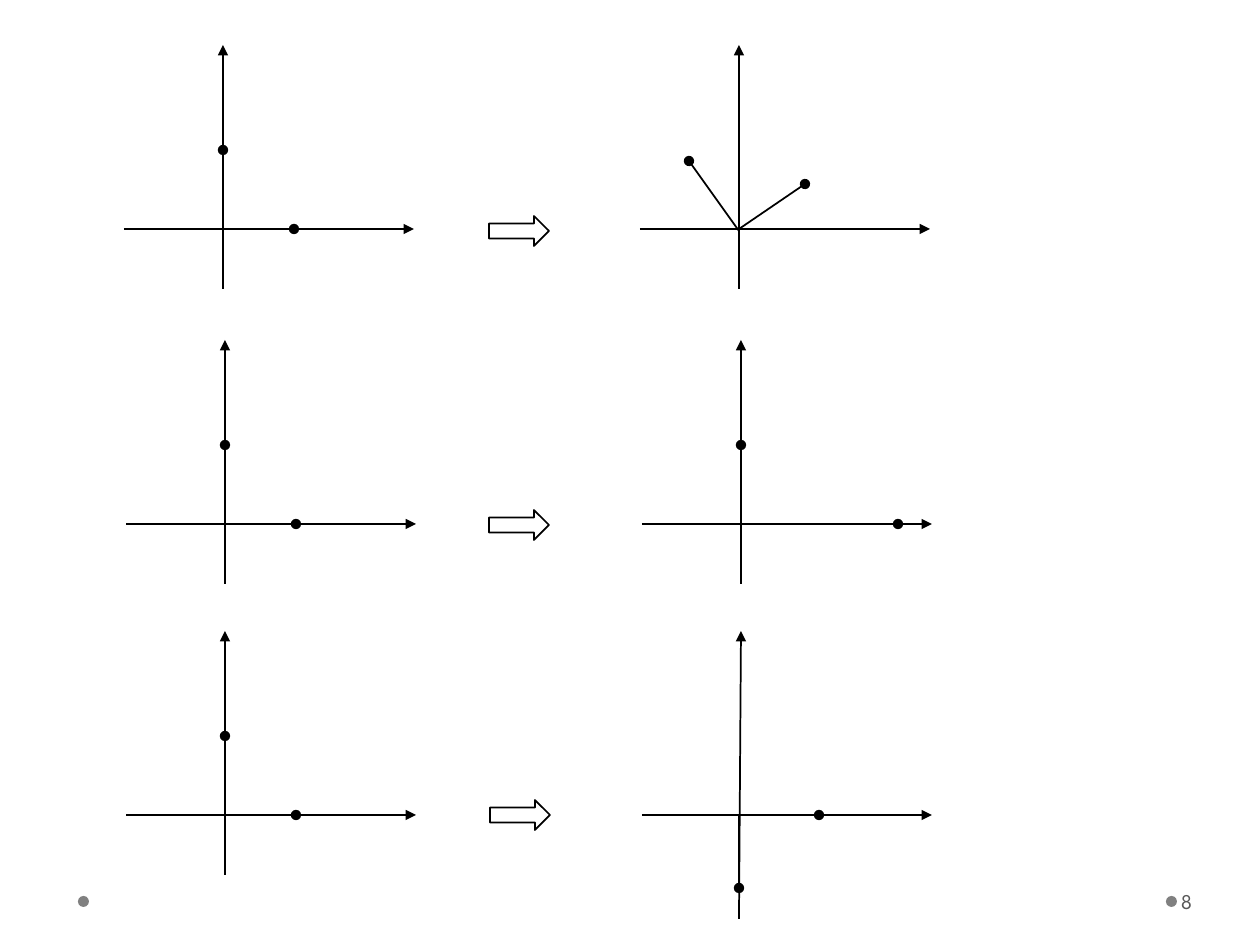
from lxml.etree import SubElement
from pptx import Presentation
from pptx.dml.color import RGBColor
from pptx.enum.shapes import MSO_CONNECTOR, MSO_SHAPE
from pptx.enum.text import MSO_ANCHOR
from pptx.oxml.ns import qn
from pptx.util import Emu, Pt

PX_PER_INCH = 126
BLACK = RGBColor(0x00, 0x00, 0x00)
GRAY = RGBColor(0x80, 0x80, 0x80)
DARK_GRAY = RGBColor(0x59, 0x59, 0x59)

X_AXIS = ((-99, 0), (191, 0))
Y_AXIS = ((0, 60), (0, -184))
TILTED_Y_AXIS = ((-2, 104), (0, -184))
UNIT_VECTORS = (((0, 0), (0, -79)), ((0, 0), (71, 0)))
ROTATED = (((0, 2), (-50, -68)), ((0, 0), (66, -45)))
STRETCHED = (((0, 2), (0, -79)), ((-1, 0), (157, 0)))
REFLECTED = (((-2, 1), (-2, 73)), ((-1, 0), (78, 0)))
PLANE_SPACING = 516

TRANSFORMATIONS = (
    ((223, 229), (489, 216), Y_AXIS, ROTATED),
    ((225, 524), (489, 510), Y_AXIS, STRETCHED),
    ((225, 815), (490, 800), TILTED_Y_AXIS, REFLECTED),
)


def px(length):
    return Emu(round(length * 914400 / PX_PER_INCH))


def apply_format(target, values):
    for attribute, value in values.items():
        setattr(target, attribute, value)


def add_line(slide, origin, ends, head):
    points = [px(base + shift) for end in ends for base, shift in zip(origin, end)]
    line = slide.shapes.add_connector(MSO_CONNECTOR.STRAIGHT, *points)
    line.line.color.rgb = BLACK
    line.line.width = Pt(1)
    properties = line._element.spPr
    SubElement(properties.find(qn("a:ln")), qn("a:tailEnd"), type=head)
    SubElement(properties, qn("a:effectLst"))


def add_plane(slide, origin, y_axis, vectors):
    for axis in (X_AXIS, y_axis):
        add_line(slide, origin, axis, "triangle")
    for vector in vectors:
        add_line(slide, origin, vector, "oval")


def add_block_arrow(slide, left, top):
    arrow = slide.shapes.add_shape(
        MSO_SHAPE.RIGHT_ARROW, px(left), px(top), px(60), px(30)
    )
    arrow.shadow.inherit = False
    arrow.fill.background()
    arrow.line.color.rgb = BLACK
    arrow.line.width = Pt(1)


def add_footer_dot(slide, left):
    dot = slide.shapes.add_shape(MSO_SHAPE.OVAL, px(left), px(896), px(11), px(11))
    dot.shadow.inherit = False
    dot.fill.solid()
    dot.fill.fore_color.rgb = GRAY
    dot.line.fill.background()


def add_page_number(slide, number):
    frame = slide.shapes.add_textbox(px(1177), px(876), px(77), px(50)).text_frame
    apply_format(frame, {
        "word_wrap": True,
        "vertical_anchor": MSO_ANCHOR.MIDDLE,
        "margin_left": px(4),
        "margin_right": px(6),
        "margin_top": px(6),
        "margin_bottom": px(6),
    })
    run = frame.paragraphs[0].add_run()
    run.text = number
    apply_format(run.font, {"name": "League Spartan", "size": Pt(12)})
    run.font.color.rgb = DARK_GRAY


def main():
    presentation = Presentation()
    apply_format(presentation, {"slide_width": px(1260), "slide_height": px(945)})
    slide = presentation.slides.add_slide(presentation.slide_layouts[6])
    for dot_left in (1166, 78):
        add_footer_dot(slide, dot_left)
    add_page_number(slide, "8")
    for (x, y), arrow_corner, result_y_axis, result_vectors in TRANSFORMATIONS:
        add_plane(slide, (x, y), Y_AXIS, UNIT_VECTORS)
        add_block_arrow(slide, *arrow_corner)
        add_plane(slide, (x + PLANE_SPACING, y), result_y_axis, result_vectors)
    presentation.save("out.pptx")


if __name__ == "__main__":
    main()
